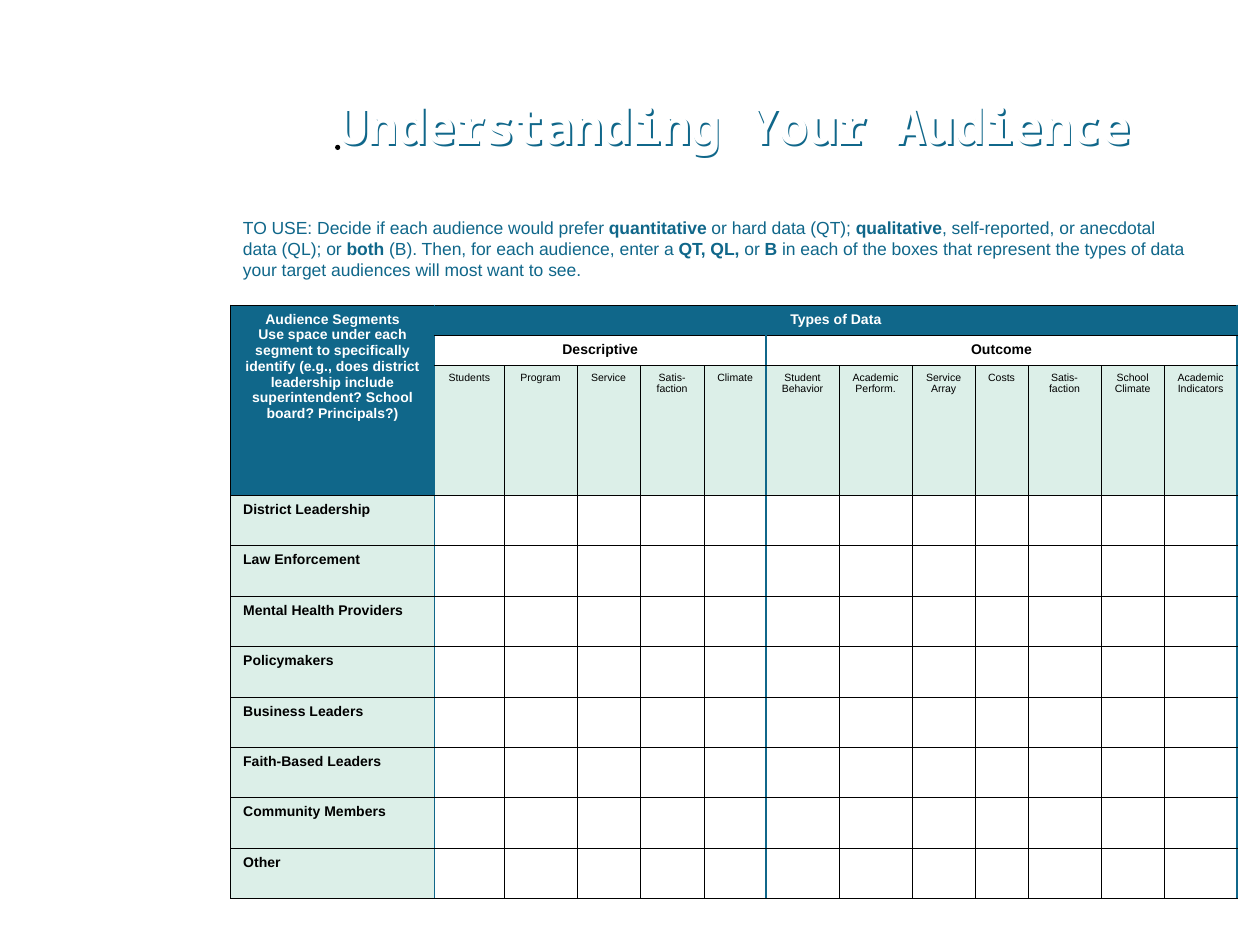
from lxml.etree import SubElement
from pptx import Presentation
from pptx.dml.color import RGBColor
from pptx.enum.shapes import MSO_CONNECTOR as Connector
from pptx.enum.text import MSO_ANCHOR as Anchor, MSO_AUTO_SIZE as AutoSize, PP_ALIGN as Align
from pptx.oxml import parse_xml
from pptx.oxml.ns import nsdecls, qn
from pptx.util import Inches, Pt

TEAL, MINT, WHITE, BLACK = "10678A", "DCEFE8", "FFFFFF", "000000"
NO_STYLE = "{2D5ABB26-0587-4C30-8999-92F81FD0307C}"

INSTRUCTIONS = [
    ("TO USE: Decide if each audience would prefer ", False),
    ("quantitative", True),
    (" or hard data (QT); ", False),
    ("qualitative", True),
    (", self-reported, or anecdotal data (QL); or ", False),
    ("both", True),
    (" (B). Then, for each audience, enter a ", False),
    ("QT, QL, ", True),
    ("or ", False),
    ("B ", True),
    ("in each of the boxes that represent the types of data "
     "your target audiences will most want to see.", False),
]
SEGMENT_HEADING = [
    "Audience Segments",
    "Use space under each segment to specifically identify (e.g., does district "
    "leadership include superintendent? School board? Principals?)",
]
DESCRIPTIVE = ["Students", "Program", "Service", "Satis-faction", "Climate"]
OUTCOME = ["Student Behavior", "Academic Perform.", "Service Array", "Costs",
           "Satis-faction", "School Climate", "Academic Indicators"]
AUDIENCES = ["District Leadership", "Law Enforcement", "Mental Health Providers",
             "Policymakers", "Business Leaders", "Faith-Based Leaders",
             "Community Members", "Other"]

COLUMN_WIDTHS = [1.62, 0.55, 0.58, 0.5, 0.51, 0.49, 0.58, 0.58, 0.5, 0.42, 0.58, 0.5, 0.58]
HEADER_HEIGHTS = [0.24, 0.24, 1.03]
AUDIENCE_HEIGHT = 0.4
LAST_COLUMN = len(COLUMN_WIDTHS) - 1
OUTCOME_START = 1 + len(DESCRIPTIVE)
GROUP_EDGES = {1, OUTCOME_START, LAST_COLUMN + 1}  # vertical edges drawn in teal


def color(value):
    return RGBColor.from_string(value)


def add_run(paragraph, text, size, ink, bold=False, font="Arial"):
    run = paragraph.add_run()
    run.text = text
    run.font.name, run.font.size, run.font.bold = font, Pt(size), bold
    run.font.color.rgb = color(ink)


def add_title(slide):
    title = slide.shapes.title
    title.left, title.top, title.width, title.height = map(Inches, (1.92, 0.42, 7.83, 1.25))
    title.text_frame.vertical_anchor = Anchor.MIDDLE
    paragraph = title.text_frame.paragraphs[0]
    paragraph.alignment, paragraph.line_spacing = Align.CENTER, 0.75
    add_run(paragraph, "Understanding Your Audience", 28, WHITE, True, "Noto Sans Mono")
    # Teal shadow that makes the white letters readable
    title._element.spPr.append(parse_xml(
        f'<a:effectLst {nsdecls("a")}><a:outerShdw dist="18000" dir="2700000" algn="ctr">'
        f'<a:srgbClr val="{TEAL}"/></a:outerShdw></a:effectLst>'))


def add_instructions(slide):
    box = slide.shapes.add_textbox(*map(Inches, (1.83, 1.67, 7.67, 0.6)))
    frame = box.text_frame
    frame.word_wrap, frame.auto_size = True, AutoSize.SHAPE_TO_FIT_TEXT
    frame.vertical_anchor = Anchor.MIDDLE
    for text, bold in INSTRUCTIONS:
        add_run(frame.paragraphs[0], text, 10, TEAL, bold)


def add_dot(slide):
    x, y = Inches(2.68), Inches(1.17)
    dot = slide.shapes.add_connector(Connector.STRAIGHT, x, y, x, y)
    dot.line.color.rgb, dot.line.width = color(BLACK), Pt(3)
    dot.line._get_or_add_ln().set("cap", "rnd")
    SubElement(dot._element.spPr, qn("a:effectLst"))


def set_borders(cell, first, last):
    """Black hairlines, with teal where a column group begins or ends."""
    properties = cell._tc.get_or_add_tcPr()
    for side, edge in (("L", first), ("R", last + 1), ("T", None), ("B", None)):
        ink, width = (TEAL, 1.08) if edge in GROUP_EDGES else (BLACK, 0.45)
        properties.append(parse_xml(
            f'<a:ln{side} {nsdecls("a")} w="{Pt(width)}"><a:solidFill>'
            f'<a:srgbClr val="{ink}"/></a:solidFill></a:ln{side}>'))


def fill_cell(table, row, column, lines=(), fill=None, ink=BLACK, size=8, bold=True,
              align=Align.CENTER, rows=1, columns=1):
    cell = table.cell(row, column)
    last = column + columns - 1
    if rows * columns > 1:
        cell.merge(table.cell(row + rows - 1, last))
    set_borders(cell, column, last)
    if fill:
        cell.fill.solid()
        cell.fill.fore_color.rgb = color(fill)
    else:
        cell.fill.background()
    frame = cell.text_frame
    frame.paragraphs[0].font.size = Pt(size)
    for index, line in enumerate(lines):
        paragraph = frame.add_paragraph() if index else frame.paragraphs[0]
        paragraph.alignment = align
        add_run(paragraph, line, size, ink, bold)


def add_audience_table(slide):
    heights = HEADER_HEIGHTS + [AUDIENCE_HEIGHT] * len(AUDIENCES)
    frame = slide.shapes.add_table(
        len(heights), len(COLUMN_WIDTHS), Inches(1.83), Inches(2.42),
        Inches(sum(COLUMN_WIDTHS)), Inches(sum(heights)))
    table = frame.table
    table.first_row = table.horz_banding = False
    table._tbl.tblPr.find(qn("a:tableStyleId")).text = NO_STYLE
    for column, width in zip(table.columns, COLUMN_WIDTHS):
        column.width = Inches(width)
    for row, height in zip(table.rows, heights):
        row.height = Inches(height)

    # Three header rows
    fill_cell(table, 0, 0, SEGMENT_HEADING, TEAL, WHITE, rows=3)
    fill_cell(table, 0, 1, ["Types of Data"], TEAL, WHITE, columns=LAST_COLUMN)
    fill_cell(table, 1, 1, ["Descriptive"], columns=len(DESCRIPTIVE))
    fill_cell(table, 1, OUTCOME_START, ["Outcome"], columns=len(OUTCOME))
    for column, label in enumerate(DESCRIPTIVE + OUTCOME, 1):
        fill_cell(table, 2, column, [label], MINT, size=6, bold=False)

    # One row per audience, with empty boxes to fill in
    for row, audience in enumerate(AUDIENCES, len(HEADER_HEIGHTS)):
        fill_cell(table, row, 0, [audience], MINT, align=Align.LEFT)
        for column in range(1, LAST_COLUMN + 1):
            fill_cell(table, row, column)


def main():
    presentation = Presentation()
    presentation.slide_width, presentation.slide_height = Inches(10), Inches(7.5)
    slide = presentation.slides.add_slide(presentation.slide_layouts[5])
    add_title(slide)
    add_instructions(slide)
    add_dot(slide)
    add_audience_table(slide)
    presentation.save("out.pptx")


if __name__ == "__main__":
    main()
